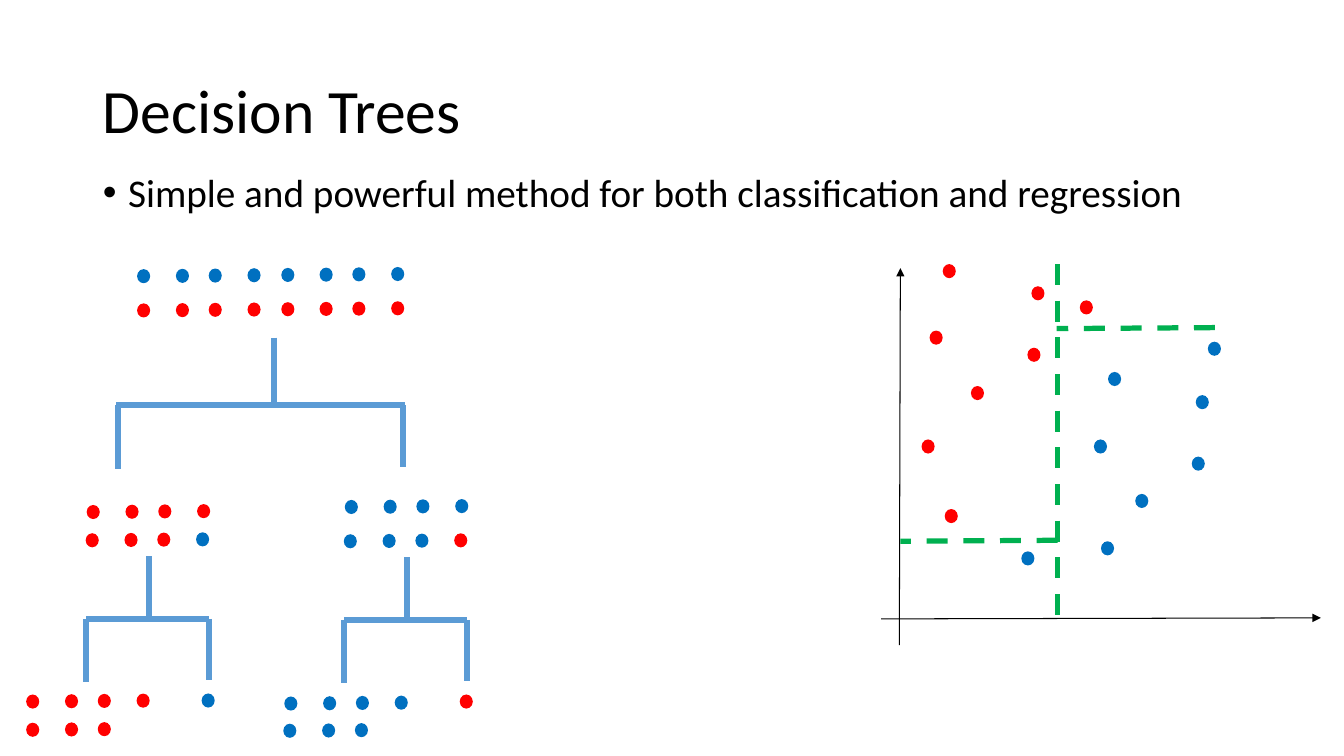
from lxml.etree import SubElement
from pptx import Presentation
from pptx.dml.color import RGBColor
from pptx.enum.dml import MSO_LINE
from pptx.enum.shapes import MSO_CONNECTOR, MSO_SHAPE
from pptx.enum.text import MSO_ANCHOR, MSO_AUTO_SIZE, PP_ALIGN
from pptx.oxml.ns import qn
from pptx.util import Inches, Pt

BLACK = RGBColor(0x00, 0x00, 0x00)
RED = RGBColor(0xFF, 0x00, 0x00)
BLUE = RGBColor(0x00, 0x70, 0xC0)
GREEN = RGBColor(0x00, 0xB0, 0x50)
BRANCH = RGBColor(0x5B, 0x9B, 0xD5)
CLASS_COLORS = {"R": RED, "B": BLUE}

# One grid column or row is a tenth of an inch
UNIT = Inches(0.1)
DOT_WIDTH, DOT_HEIGHT = 1.3, 1.4
DOT_STEPS = (0, 3.85, 7.1, 10.95, 14.3, 18.1, 21.35, 25.2)
DOT_RISE = 0.03


def grid(*values):
    return [round(value * UNIT) for value in values]


class TreeSlide:
    font = "Calibri"

    def __init__(self, deck):
        self.page = deck.slides.add_slide(deck.slide_layouts[1])

    def fill_text(self, box, text, area, size, anchor):
        box.left, box.top, box.width, box.height = grid(*area)
        frame = box.text_frame
        frame.text = text
        frame.word_wrap = True
        frame.auto_size = MSO_AUTO_SIZE.NONE
        frame.vertical_anchor = anchor
        para = frame.paragraphs[0]
        para.alignment = PP_ALIGN.LEFT
        para.line_spacing = 0.9
        para.space_before = Pt(0)
        span = para.runs[0]
        span.font.name = self.font
        span.font.size = Pt(size)
        span.font.color.rgb = BLACK
        return para

    def title(self, text, area):
        self.fill_text(self.page.shapes.title, text, area, 44, MSO_ANCHOR.MIDDLE)

    def bullet(self, text, area):
        para = self.fill_text(self.page.placeholders[1], text, area, 28, MSO_ANCHOR.TOP)
        properties = para._p.get_or_add_pPr()
        properties.set("marL", str(Inches(0.25)))
        properties.set("indent", str(-Inches(0.25)))
        SubElement(properties, qn("a:buFont"), typeface="Arial")
        SubElement(properties, qn("a:buChar"), char="•")

    def dot(self, left, top, color):
        dot = self.page.shapes.add_shape(
            MSO_SHAPE.OVAL, *grid(left, top, DOT_WIDTH, DOT_HEIGHT))
        dot.shadow.inherit = False
        dot.fill.solid()
        dot.fill.fore_color.rgb = color
        dot.line.fill.background()

    def dot_row(self, left, top, classes):
        for index, (step, name) in enumerate(zip(DOT_STEPS, classes)):
            self.dot(left + step, top - DOT_RISE * index, CLASS_COLORS[name])

    def line(self, start, end, color, width):
        line = self.page.shapes.add_connector(
            MSO_CONNECTOR.STRAIGHT, *grid(*start, *end))
        line.line.color.rgb = color
        line.line.width = Pt(width)
        SubElement(line._element.spPr, qn("a:effectLst"))
        return line

    def axis(self, start, end):
        axis = self.line(start, end, BLACK, 0.75)
        outline = axis._element.spPr.find(qn("a:ln"))
        SubElement(outline, qn("a:tailEnd"), type="triangle")

    def split(self, start, end):
        self.line(start, end, GREEN, 3.75).line.dash_style = MSO_LINE.DASH

    def fork(self, stem, top, bar, left, right, overhang=0):
        ends = (
            ((stem, top), (stem, bar)),
            ((right + overhang, bar), (left - overhang, bar)),
            ((right, bar), (right, bar + 6.1)),
            ((left, bar), (left, bar + 6.3)),
        )
        for start, end in ends:
            self.line(start, end, BRANCH, 4.25)


def main():
    deck = Presentation()
    deck.slide_width, deck.slide_height = Inches(13.33), Inches(7.5)
    slide = TreeSlide(deck)

    # Heading and statement
    slide.title("Decision Trees", (9.2, 4, 115, 14.5))
    slide.bullet("Simple and powerful method for both classification and regression",
                 (9.2, 16.7, 115, 47.6))

    # Scatter plot: axes, points and split borders
    slide.axis((89.2, 64), (89.3, 26.6))
    slide.axis((87.4, 61.4), (131, 61.3))
    points = {
        RED: ((93.5, 26.2), (92.2, 32.8), (102.3, 28.4), (96.3, 38.3),
              (91.4, 43.6), (101.9, 34.5), (93.7, 50.5), (107.1, 29.8)),
        BLUE: ((109.9, 36.9), (108.5, 43.6), (118.6, 39.2), (112.6, 49),
               (101.3, 54.7), (118.2, 45.3), (109.2, 53.7), (119.8, 33.9)),
    }
    for color, places in points.items():
        for left, top in places:
            slide.dot(left, top, color)
    slide.split((104.9, 26.2), (104.9, 61.3))
    slide.split((104.9, 53.6), (89.3, 53.7))
    slide.split((120.5, 32.5), (104.8, 32.6))

    # Tree nodes: root, two inner nodes, four leaves
    rows = (
        (13.6, 26.7, "BBBBBBBB"), (13.6, 30.1, "RRRRRRRR"),
        (8.6, 50.1, "RRRR"), (8.5, 52.9, "RRRB"),
        (34.2, 49.6, "BBBB"), (34.1, 53, "BBBR"),
        (2.6, 68.9, "RRRR"), (2.6, 71.7, "RRR"), (20, 68.8, "B"),
        (28.2, 69.1, "BBBB"), (28.1, 71.8, "BBB"), (45.6, 68.9, "R"),
    )
    for left, top, classes in rows:
        slide.dot_row(left, top, classes)

    # Tree branches
    slide.fork(27.2, 33.5, 40.2, 11.7, 40, overhang=0.2)
    slide.fork(14.8, 55.2, 61.4, 8.5, 20.7)
    slide.fork(40.4, 55.3, 61.5, 34.1, 46.3)

    deck.save("out.pptx")


if __name__ == "__main__":
    main()
